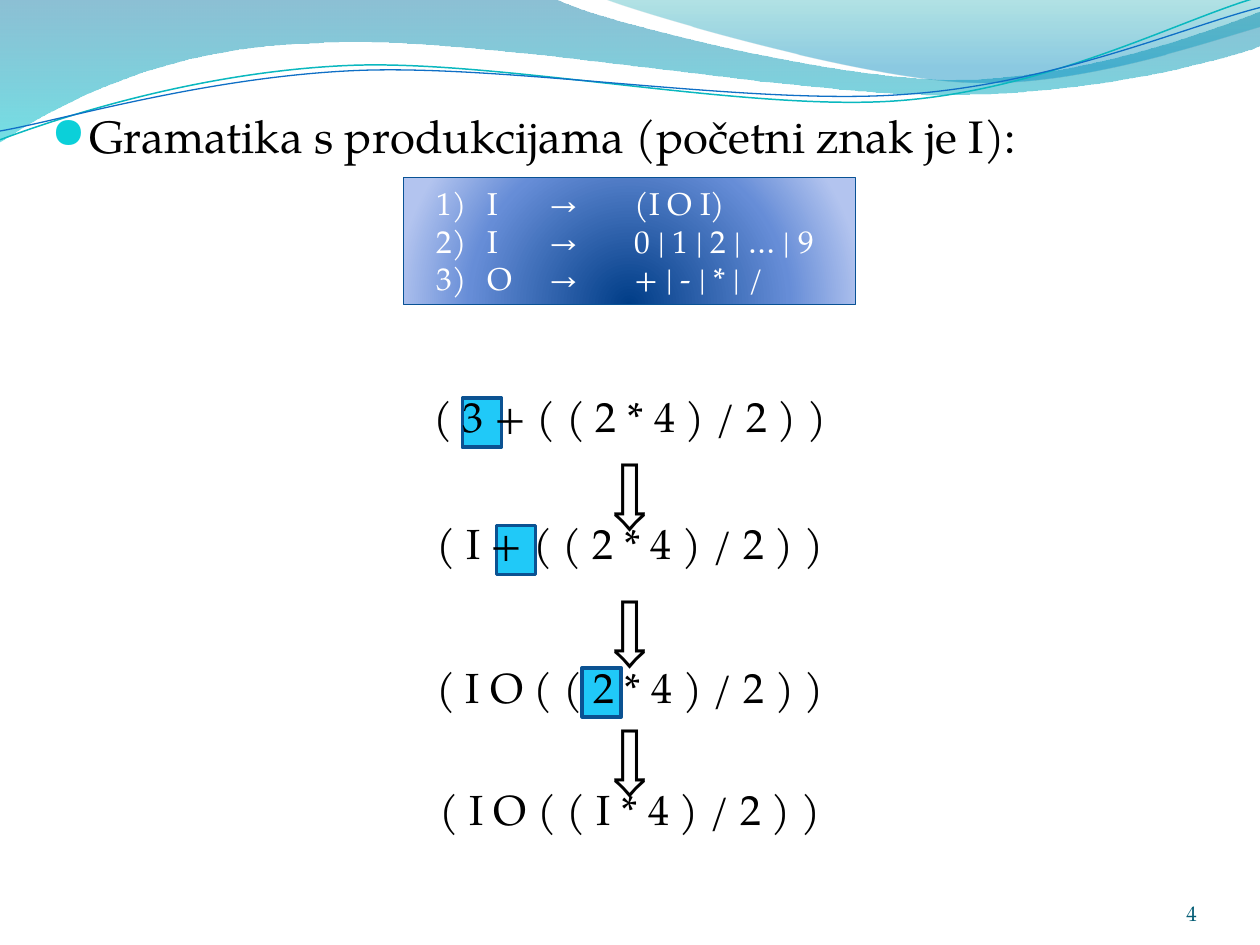
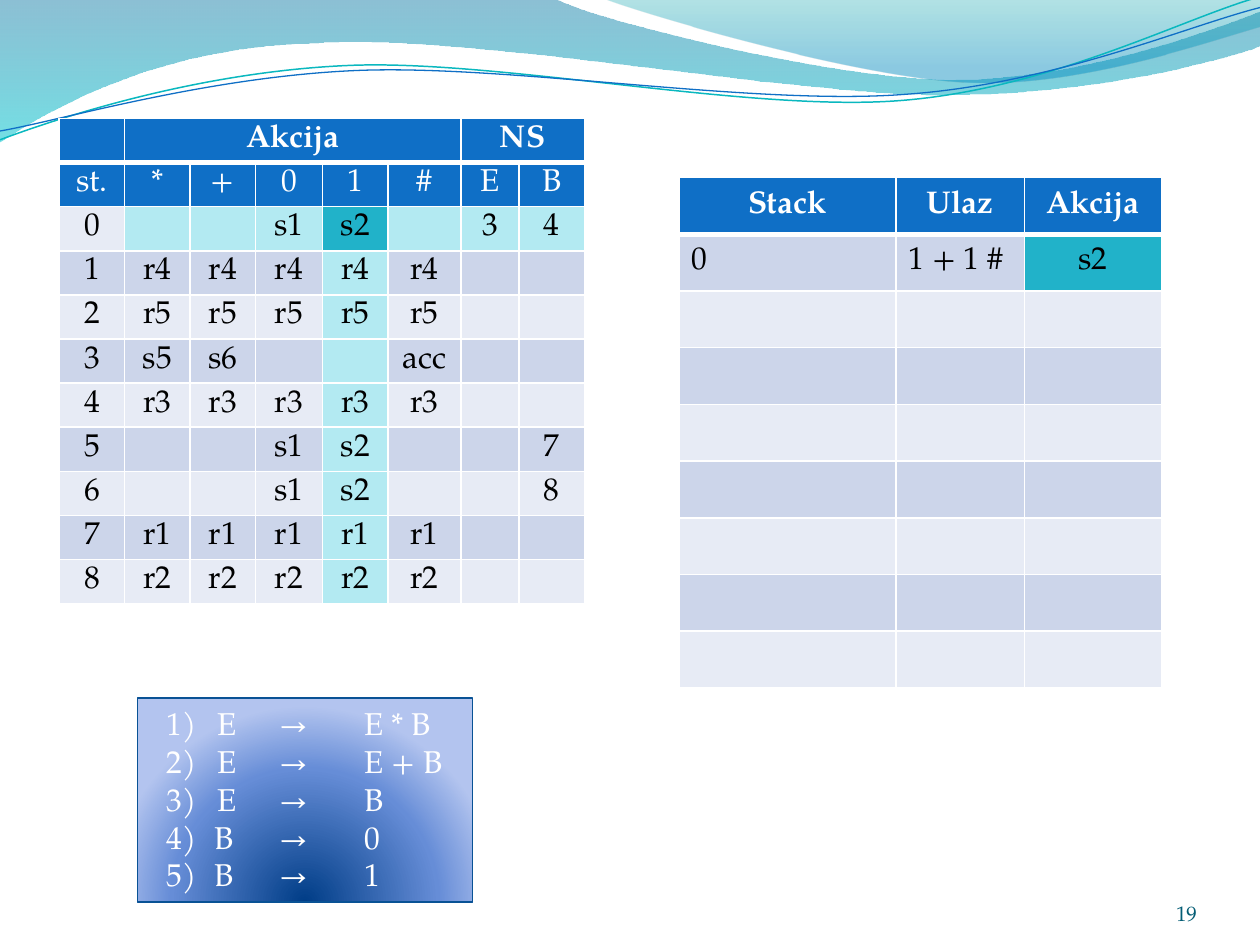
from pptx import Presentation
from pptx.dml.color import RGBColor
from pptx.enum.shapes import MSO_SHAPE
from pptx.enum.text import MSO_ANCHOR, MSO_AUTO_SIZE, PP_ALIGN
from pptx.oxml import parse_xml
from pptx.util import Inches, Pt

NS = 'xmlns:a="http://schemas.openxmlformats.org/drawingml/2006/main"'
FACE = "TeX Gyre Pagella"
BLACK, WHITE, BLUE, TEAL = "000000", "FFFFFF", "0F6FC6", "21B2C9"
PALE, BANDS = "B3EAF2", ("E7EBF5", "CCD5EA")
hue = RGBColor.from_string

deck = Presentation()
deck.slide_width, deck.slide_height = Inches(10), Inches(7.5)
col = deck.slide_width // 10


def put(frame, paras, size, color, align=None, bold=False):
    for i, (text, props) in enumerate(paras):
        para = frame.paragraphs[0] if i == 0 else frame.add_paragraph()
        para.text = text
        if props:
            for old in para._p.xpath("./a:pPr"):
                para._p.remove(old)
            para._p.insert(0, parse_xml(props))
        if align:
            para.alignment = align
        look = {"name": FACE, "size": Pt(size), "bold": bold}
        for run in para.runs:
            for key, value in look.items():
                setattr(run.font, key, value)
            run.font.color.rgb = hue(color)


def blend(shape, stops, shade):
    marks = "".join(
        f'<a:gs pos="{pos}000"><a:srgbClr val="{tone}"><a:alpha val="{clear}000"/></a:srgbClr></a:gs>'
        for pos, tone, clear in stops)
    shape._element.spPr.insert(2, parse_xml(
        f'<a:gradFill {NS} rotWithShape="1"><a:gsLst>{marks}</a:gsLst>{shade}</a:gradFill>'))


DOWN = '<a:lin ang="5400000" scaled="1"/>'
GLOW = '<a:path path="circle"><a:fillToRect l="50000" t="130000" r="50000" b="-30000"/></a:path>'
DEEP = [(0, "003D87", 100), (68, "668DD7", 100), (100, "B3C4EF", 100)]

waves = [
    ([(0, 0), (4.4, -.01), (4.76, .17, 6.64, .63, 7.58, .63), (8.53, .63, 9.58, .26, 10, .09),
      (10.01, .36), (9.83, .44, 8.7, .76, 7.46, .75), (6.22, .75, 3.82, .28, 2.57, .34),
      (1.29, .36, .46, .83, -.01, 1.13)], [(0, "0074A1", 45), (100, "00C6CF", 55)], None),
    ([(4.79, -.01), (5.09, .11, 6.82, .62, 7.69, .65), (8.56, .69, 9.61, .32, 10, .21),
      (10, 0)], [(0, "00A1A9", 30), (80, "008BBF", 45)], None),
    ([(0, 1.11), (.48, .93, 1.58, .57, 2.77, .52), (3.95, .47, 5.93, .89, 7.13, .8),
      (8.33, .71, 9.38, .15, 9.98, -.02)], None, ("0AB8BF", .85)),
    ([(0, 1.04), (.47, .96, 1.64, .61, 2.83, .56), (4.03, .51, 5.97, .84, 7.17, .75),
      (8.36, .67, 9.41, .21, 10, .06)], None, (BLUE, .75)),
]

TABS = "<a:tabLst>" + "".join(
    f'<a:tab pos="{Inches(stop)}" algn="l"/>' for stop in (.4, .89, 1.57)) + "</a:tabLst>"
RULE = f"<a:pPr {NS}>{TABS}</a:pPr>"
COUNT = (f'<a:pPr {NS} marL="{Inches(.38)}" indent="{-Inches(.38)}">'
         f'<a:buFont typeface="+mj-lt"/><a:buAutoNum type="arabicParenR" startAt="4"/>{TABS}</a:pPr>')
DOT = (f'<a:pPr {NS} marL="{Inches(.3)}" indent="{-Inches(.3)}">'
       '<a:buClr><a:srgbClr val="0BD0D9"/></a:buClr><a:buSzPct val="95000"/>'
       '<a:buFont typeface="OpenSymbol"/><a:buChar char="●"/></a:pPr>')

plans = [
    ("4", (3.2, 1.41, 3.59, 1.01),
     [("1) \tI\t→\t(I O I)\n2) \tI\t→ \t0 | 1 | 2 | … | 9 \n3) \tO\t→ \t+ | - | * | /", RULE)]),
    ("19", (1.09, 5.54, 2.66, 1.62),
     [("1) \tE\t→\tE * B\n2) \tE\t→ \tE + B\n3) \tE\t→ \tB", RULE),
      ("B\t→\t0", COUNT), ("B\t→\t1", COUNT)]),
]
steps = [
    ("( 3 + ( ( 2 * 4 ) / 2 ) )", 3.05, 3.44),
    ("( I + ( ( 2 * 4 ) / 2 ) )", 4.06, 4.53),
    ("( I O ( ( 2 * 4 ) / 2 ) )", 5.2, 5.55),
    ("( I O ( ( I * 4 ) / 2 ) )", 6.17, None),
]
marks = [(4.62, 5.3), (3.94, 4.17), (3.67, 3.16)]

pages = []
for number, spot, rules in plans:
    page = deck.slides.add_slide(deck.slide_layouts[6])
    pages.append(page)
    for route, stops, edge in waves:
        route = [[round(v * col) for v in part] for part in route]
        ends = [part[-2:] for part in route]
        pen = page.shapes.build_freeform(*ends[0])
        pen.add_line_segments(ends[1:], close=bool(stops))
        wave = pen.convert_to_shape()
        for leg, part in zip(wave._element.xpath(".//a:lnTo"), route[1:]):
            if len(part) == 6:
                knots = "".join(f'<a:pt x="{x - wave.left}" y="{y - wave.top}"/>'
                                for x, y in zip(part[::2], part[1::2]))
                leg.getparent().replace(leg, parse_xml(
                    f"<a:cubicBezTo {NS}>{knots}</a:cubicBezTo>"))
        wave.shadow.inherit = False
        if stops:
            blend(wave, stops, DOWN)
            wave.line.fill.background()
        else:
            wave.fill.background()
            wave.line.color.rgb, wave.line.width = hue(edge[0]), Pt(edge[1])

    if number == "4":
        for left, top in marks:
            mark = page.shapes.add_shape(MSO_SHAPE.RECTANGLE, *[
                round(v * col) for v in (left, top, .31, .39)])
            mark.shadow.inherit = False
            mark.fill.solid()
            mark.fill.fore_color.rgb = hue("20C9F8")
            mark.line.color.rgb, mark.line.width = hue("0B5292"), Pt(2)
        body = page.shapes.add_textbox(*[round(v * col) for v in (.31, .31, 9.38, 6.88)])
        body.text_frame.word_wrap = True
        body.text_frame.margin_top = Inches(.55)
        put(body.text_frame, [("Gramatika s produkcijama (početni znak je I):", DOT)], 26, BLACK)

    foot = page.shapes.add_textbox(*[round(v * col) for v in (8.67, 6.95, .83, .4)]).text_frame
    for side in ("left", "top", "right", "bottom"):
        setattr(foot, f"margin_{side}", 0)
    foot.word_wrap, foot.vertical_anchor = True, MSO_ANCHOR.BOTTOM
    put(foot, [(number, None)], 12, "045D75", PP_ALIGN.RIGHT)

    panel = page.shapes.add_shape(MSO_SHAPE.RECTANGLE, *[round(v * col) for v in spot])
    panel.shadow.inherit = False
    blend(panel, DEEP, GLOW)
    panel.line.color.rgb, panel.line.width = hue("095295"), Pt(.75)
    panel.text_frame.vertical_anchor = MSO_ANCHOR.TOP
    panel.text_frame._txBody.bodyPr.set("anchorCtr", "1")
    put(panel.text_frame, rules, 18, WHITE, PP_ALIGN.LEFT)

for text, top, drop in steps:
    items = [(text, (3.13, top, 3.74, .5), 24, True)]
    if drop:
        items.append(("⇩", (4.65, drop, .7, .84), 44, False))
    for words, spot, size, wrap in items:
        frame = pages[0].shapes.add_textbox(*[round(v * col) for v in spot]).text_frame
        frame.word_wrap, frame.auto_size = wrap, MSO_AUTO_SIZE.SHAPE_TO_FIT_TEXT
        put(frame, [(words, None)], size, BLACK, PP_ALIGN.CENTER)

moves = [
    ["", "Akcija", "", "", "", "", "NS", ""],
    ["st.", "*", "+", "0", "1", "#", "E", "B"],
    ["0", "", "", "s1", "s2", "", "3", "4"],
    ["1"] + ["r4"] * 5 + ["", ""],
    ["2"] + ["r5"] * 5 + ["", ""],
    ["3", "s5", "s6", "", "", "acc", "", ""],
    ["4"] + ["r3"] * 5 + ["", ""],
    ["5", "", "", "s1", "s2", "", "", "7"],
    ["6", "", "", "s1", "s2", "", "", "8"],
    ["7"] + ["r1"] * 5 + ["", ""],
    ["8"] + ["r2"] * 5 + ["", ""],
]
trace = [["Stack", "Ulaz", "Akcija"], ["0", "1 + 1 #", "s2"]] + [[""] * 3 for n in range(7)]
tints = {(2, c): PALE for c in range(1, 8)} | {(r, 4): PALE for r in range(3, 11)} | {(2, 4): TEAL}
grids = [
    (moves, (.47, .94), [.52] * 3 + [.53, .52, .58, .46, .52], .35, 2, .02, tints,
     [(1, 5), (6, 7)], ()),
    (trace, (5.39, 1.41), [1.72, 1.02, 1.09], .45, 1, .1, {(1, 2): TEAL}, [], [(1, 0), (1, 1)]),
]

for data, (left, top), widths, tall, heads, pad, tints, spans, flush in grids:
    table = pages[1].shapes.add_table(len(data), len(widths), *[
        round(v * col) for v in (left, top, sum(widths), tall * len(data))]).table
    table.first_row = table.horz_banding = False
    for c, wide in enumerate(widths):
        table.columns[c].width = round(wide * col)
    for r, line in enumerate(data):
        table.rows[r].height = round(tall * col)
        for c, text in enumerate(line):
            cell = table.cell(r, c)
            look = {"margin_left": Inches(pad), "margin_right": Inches(pad),
                    "margin_top": Inches(.02), "margin_bottom": Inches(.02),
                    "vertical_anchor": MSO_ANCHOR.MIDDLE}
            for key, value in look.items():
                setattr(cell, key, value)
            cell.fill.solid()
            band = BLUE if r < heads else BANDS[(r - heads + (heads == 1)) % 2]
            cell.fill.fore_color.rgb = hue(tints.get((r, c), band))
            for i, side in enumerate("LRTB"):
                thick = 3 if (r, side) in ((0, "B"), (1, "T")) else 1
                cell._tc.get_or_add_tcPr().insert(i, parse_xml(
                    f'<a:ln{side} {NS} w="{Pt(thick)}"><a:solidFill>'
                    f'<a:srgbClr val="{WHITE}"/></a:solidFill></a:ln{side}>'))
            put(cell.text_frame, [(text, None)], 18, WHITE if r < heads else BLACK,
                PP_ALIGN.LEFT if (r, c) in flush else PP_ALIGN.CENTER, r == 0)
    for first, last in spans:
        table.cell(0, first).merge(table.cell(0, last))

deck.save("out.pptx")
